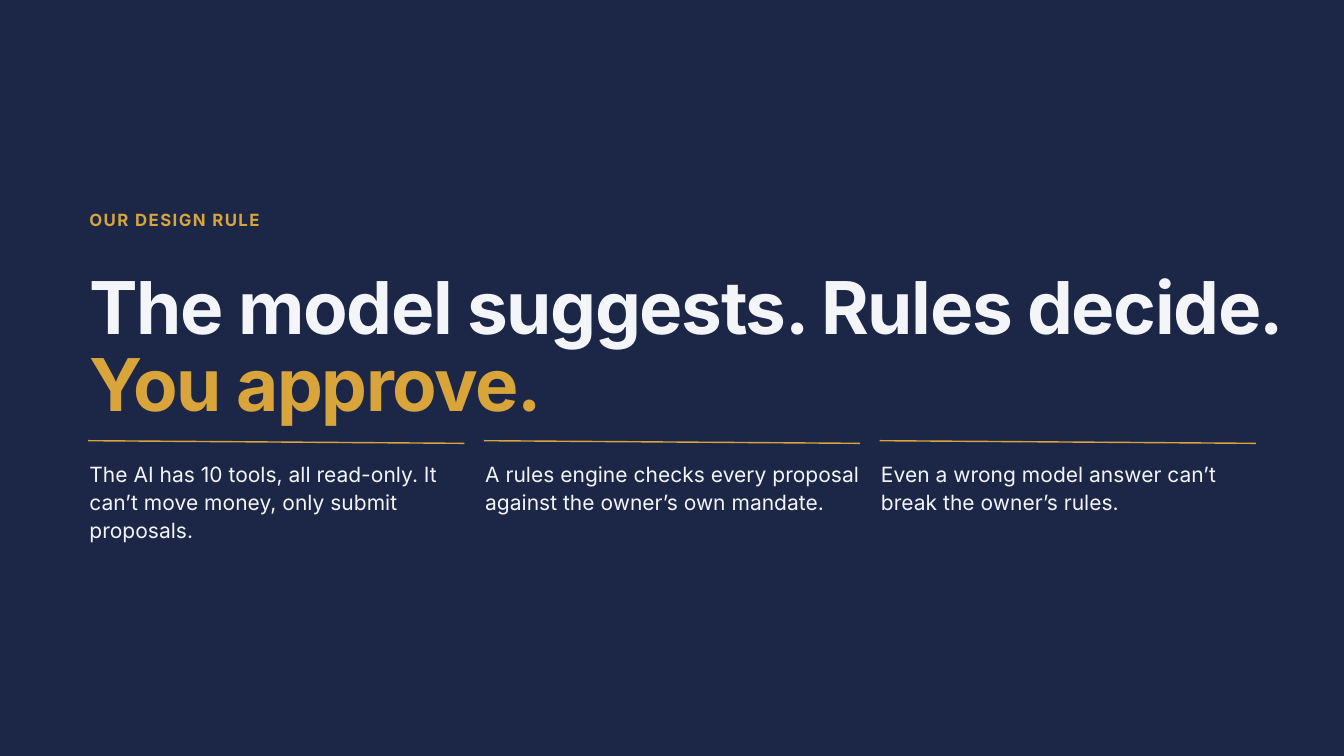
import pptx
import pptx.dml.color
import pptx.enum.shapes
import pptx.enum.text
import pptx.oxml.ns
import pptx.util
from dataclasses import dataclass
from lxml import etree

Cm = pptx.util.Cm
Pt = pptx.util.Pt


def rgb(value):
    return pptx.dml.color.RGBColor.from_string(value)


@dataclass(frozen=True)
class Theme:
    font: str = "Inter"
    navy: str = "1C2748"
    gold: str = "D9A43A"
    light: str = "F4F5F9"
    kicker: float = 18
    title: float = 78
    body: float = 22.5
    rule: float = 1.5


class Deck:
    def __init__(self, theme, width, height):
        self.theme = theme
        self.prs = pptx.Presentation()
        self.prs.slide_width = Cm(width)
        self.prs.slide_height = Cm(height)
        self.s = None

    def slide(self):
        self.s = self.prs.slides.add_slide(self.prs.slide_layouts[5])
        fill = self.s.background.fill
        fill.solid()
        fill.fore_color.rgb = rgb(self.theme.navy)

    def fill_text(self, sp, runs, size, leading, bold=False, tracking=0):
        tf = sp.text_frame
        frame = dict(word_wrap=True, margin_left=0, margin_top=0,
                     margin_right=0, margin_bottom=0,
                     auto_size=pptx.enum.text.MSO_AUTO_SIZE.NONE,
                     vertical_anchor=pptx.enum.text.MSO_ANCHOR.TOP)
        for name, value in frame.items():
            setattr(tf, name, value)
        p = tf.paragraphs[0]
        p.alignment = pptx.enum.text.PP_ALIGN.LEFT
        p.line_spacing = Pt(leading)
        for text, color in runs:
            r = p.add_run()
            r.text = text
            font = dict(name=self.theme.font, size=Pt(size), bold=bold)
            for name, value in font.items():
                setattr(r.font, name, value)
            r.font.color.rgb = rgb(color)
            if tracking:
                r.font._element.set("spc", str(round(tracking * 100)))

    def title(self, box, runs, **style):
        sp = self.s.shapes.title
        for name, value in zip(("left", "top", "width", "height"), box):
            setattr(sp, name, Cm(value))
        self.fill_text(sp, runs, self.theme.title, **style)

    def text(self, box, runs, size, **style):
        sp = self.s.shapes.add_textbox(*map(Cm, box))
        self.fill_text(sp, runs, size, **style)

    def line(self, x1, y1, x2, y2):
        sp = self.s.shapes.add_connector(
            pptx.enum.shapes.MSO_CONNECTOR.STRAIGHT, *map(Cm, (x1, y1, x2, y2)))
        sp.line.color.rgb = rgb(self.theme.gold)
        sp.line.width = Pt(self.theme.rule)
        etree.SubElement(sp._element.spPr, pptx.oxml.ns.qn("a:effectLst"))


def main():
    theme = Theme()
    deck = Deck(theme, 50.8, 28.58)
    deck.slide()

    left, full_width = 3.38, 45.34
    deck.text((left, 7.85, full_width, 1.04), [("OUR DESIGN RULE", theme.gold)],
              theme.kicker, leading=24.3, bold=True, tracking=1.5)
    deck.title((left, 10.31, full_width, 5.56),
               [("The model suggests. Rules decide. ", theme.light),
                ("You approve.", theme.gold)],
               leading=81.9, bold=True, tracking=-1.5)

    principles = [
        "The AI has 10 tools, all read-only. It can’t move money, only submit proposals.",
        "A rules engine checks every proposal against the owner’s own mandate.",
        "Even a wrong model answer can’t break the owner’s rules.",
    ]
    pitch, rule_width, rule_inset = 14.96, 14.22, 0.05
    for i, principle in enumerate(principles):
        x = left + i * pitch
        rule_x = x - rule_inset
        deck.line(rule_x, 16.66, rule_x + rule_width, 16.76)
        deck.text((x, 17.32, 14.53, 3.43), [(principle, theme.light)],
                  theme.body, leading=30.4)

    deck.prs.save("out.pptx")


if __name__ == "__main__":
    main()
